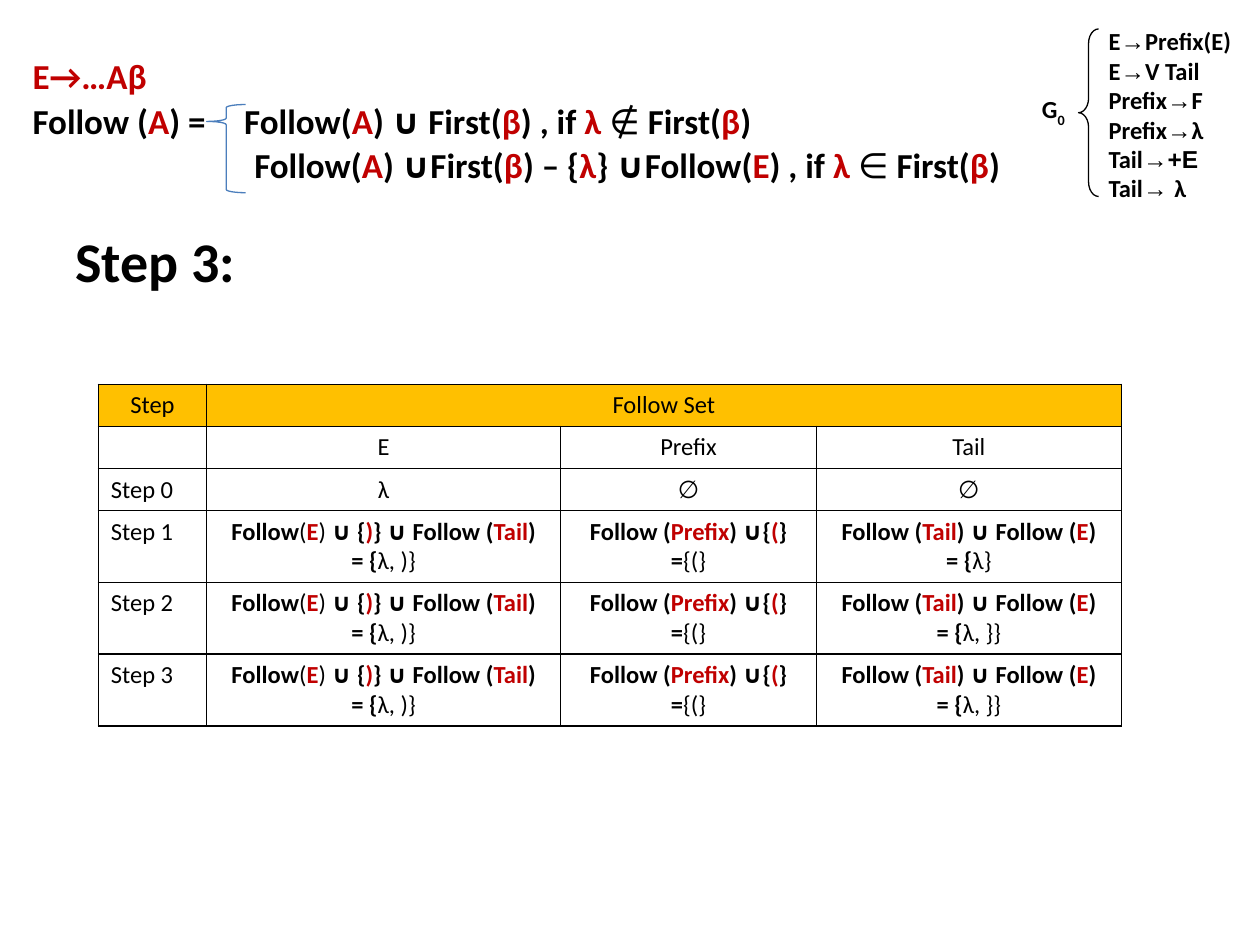
from lxml import etree
from pptx import Presentation
from pptx import util as u
from pptx.dml.color import RGBColor
from pptx.enum import shapes, text
from pptx.oxml.ns import qn
from pptx.util import Inches

BLACK = RGBColor(0x00, 0x00, 0x00)
RED = RGBColor(0xC0, 0x00, 0x00)
BLUE = RGBColor(0x4B, 0x7E, 0xBC)
GOLD = RGBColor(0xFF, 0xC0, 0x00)
WHITE = RGBColor(0xFF, 0xFF, 0xFF)
TOGGLES = "|~^_"

FORMULA = [
    "|E→…Aβ|",
    "Follow (|A|) =\tFollow(|A|) ∪ First(|β|) , if |λ| ~∉ ~First(|β|)",
    "\tFollow(|A|) ∪First(|β|) – {|λ|} ∪Follow(|E|) , if |λ| ~∈ ~First(|β|)",
]
RULES = ["E^→^Prefix(E)", "E^→^V Tail", "Prefix^→^F", "Prefix^→^λ",
         "Tail^→+Ε^", "Tail^→ ^λ"]

E_UNION = "Follow~(~|E|~)~ ∪ {|)|} ∪ Follow (|Tail|)"
PREFIX_UNION = "Follow (|Prefix|) ∪{|(|}"
TAIL_UNION = "Follow (|Tail|) ∪ Follow (|E|)"
TAIL_RESULTS = ["λ}", "λ, }}", "λ, }}"]


def write(paragraph, marked, size, bold=True):
    """Add runs; | toggles red, ~ bold, ^ Arial and _ subscript."""
    pieces, active = [("", frozenset())], frozenset()
    for char in marked:
        if char in TOGGLES:
            active = active ^ {char}
            pieces.append(("", active))
        else:
            pieces[-1] = (pieces[-1][0] + char, active)
    for words, marks in pieces:
        if not words:
            continue
        run = paragraph.add_run()
        run.text = words
        run.font.size = u.Pt(size)
        run.font.name = "Arial" if "^" in marks else "Calibri"
        run.font.bold = bold != ("~" in marks)
        run.font.color.rgb = RED if "|" in marks else BLACK
        if "_" in marks:
            run._r.get_or_add_rPr().set("baseline", "-25000")


def write_lines(frame, lines, size, bold=True, align=None):
    for index, line in enumerate(lines):
        paragraph = frame.paragraphs[0] if index == 0 else frame.add_paragraph()
        paragraph.alignment = align
        write(paragraph, line, size, bold)


def add_text(slide, box, lines, size, wrap=True):
    frame = slide.shapes.add_textbox(*map(Inches, box)).text_frame
    frame.word_wrap = wrap
    write_lines(frame, lines, size)
    return frame


def add_brace(slide, box, color, curl, tip):
    brace = slide.shapes.add_shape(shapes.MSO_SHAPE.LEFT_BRACE, *map(Inches, box))
    brace.adjustments[0], brace.adjustments[1] = curl, tip
    brace.shadow.inherit = False
    brace.fill.background()
    brace.line.color.rgb = color
    brace.line.width = u.Pt(0.75)


def set_tab(paragraph, position):
    tabs = etree.SubElement(paragraph._p.get_or_add_pPr(), qn("a:tabLst"))
    etree.SubElement(tabs, qn("a:tab"), pos=str(Inches(position)), algn="l")


def add_formula(slide, left, top):
    frame = add_text(slide, (left, top, 8.05, 1.22), FORMULA, 20)
    for paragraph in frame.paragraphs:
        paragraph.line_spacing = 0.9
    for paragraph, position in zip(frame.paragraphs[1:], (1.68, 1.76)):
        paragraph.space_before = u.Pt(4)
        set_tab(paragraph, position)
    add_brace(slide, (left + 1.48, top + 0.41, 0.31, 0.7), BLUE, 0.083, 0.192)


def add_grammar(slide, left, top):
    add_text(slide, (left + 0.53, top, 1.3, 1.51), RULES, 14, wrap=False)
    add_brace(slide, (left + 0.39, top + 0.07, 0.16, 1.33), BLACK, 0.722, 0.5)
    add_text(slide, (left, top + 0.54, 0.42, 0.34), ["G_0_"], 14, wrap=False)


def add_borders(cell):
    properties = cell._tc.get_or_add_tcPr()
    for index, side in enumerate(("lnL", "lnR", "lnT", "lnB")):
        line = etree.Element(qn(f"a:{side}"), w=str(u.Pt(1)))
        fill = etree.SubElement(line, qn("a:solidFill"))
        etree.SubElement(fill, qn("a:srgbClr"), val=str(BLACK))
        properties.insert(index, line)


def follow_rows():
    """Each cell is a list of marked lines."""
    yield [["Step"], ["Follow Set"], [], []]
    yield [[], ["E"], ["Prefix"], ["Tail"]]
    yield [["Step 0"], ["λ"], ["∅"], ["∅"]]
    for step, tail in enumerate(TAIL_RESULTS, 1):
        yield [[f"Step {step}"], [E_UNION, "= {~λ, )}~"],
               [PREFIX_UNION, "=~{(}~"], [TAIL_UNION, f"= {{~{tail}~"]]


def add_follow_table(slide, left, top):
    widths = (0.86, 2.81, 2.03, 2.42)
    heights = [0.33] * 3 + [0.57] * 3
    table = slide.shapes.add_table(
        len(heights), len(widths), Inches(left), Inches(top),
        Inches(sum(widths)), Inches(sum(heights))).table
    for column, width in zip(table.columns, widths):
        column.width = Inches(width)
    for row, height in zip(table.rows, heights):
        row.height = Inches(height)
    table.cell(0, 1).merge(table.cell(0, 3))
    for r, row in enumerate(follow_rows()):
        for c, lines in enumerate(row):
            cell = table.cell(r, c)
            cell.fill.solid()
            cell.fill.fore_color.rgb = GOLD if r == 0 else WHITE
            add_borders(cell)
            centred = r == 0 or c > 0
            write_lines(cell.text_frame, lines, 14, bold=len(lines) > 1,
                        align=text.PP_ALIGN.CENTER if centred else None)
            if not lines:
                cell.text_frame.paragraphs[0].font.size = u.Pt(14)


def main():
    deck = Presentation()
    deck.slide_width, deck.slide_height = Inches(10), Inches(7.5)
    slide = deck.slides.add_slide(deck.slide_layouts[6])
    add_formula(slide, 0.16, 0.42)
    add_text(slide, (0.5, 1.75, 8.48, 1.14), ["Step 3:"], 32)
    add_grammar(slide, 8.17, 0.16)
    add_follow_table(slide, 0.78, 3.05)
    deck.save("out.pptx")


if __name__ == "__main__":
    main()
